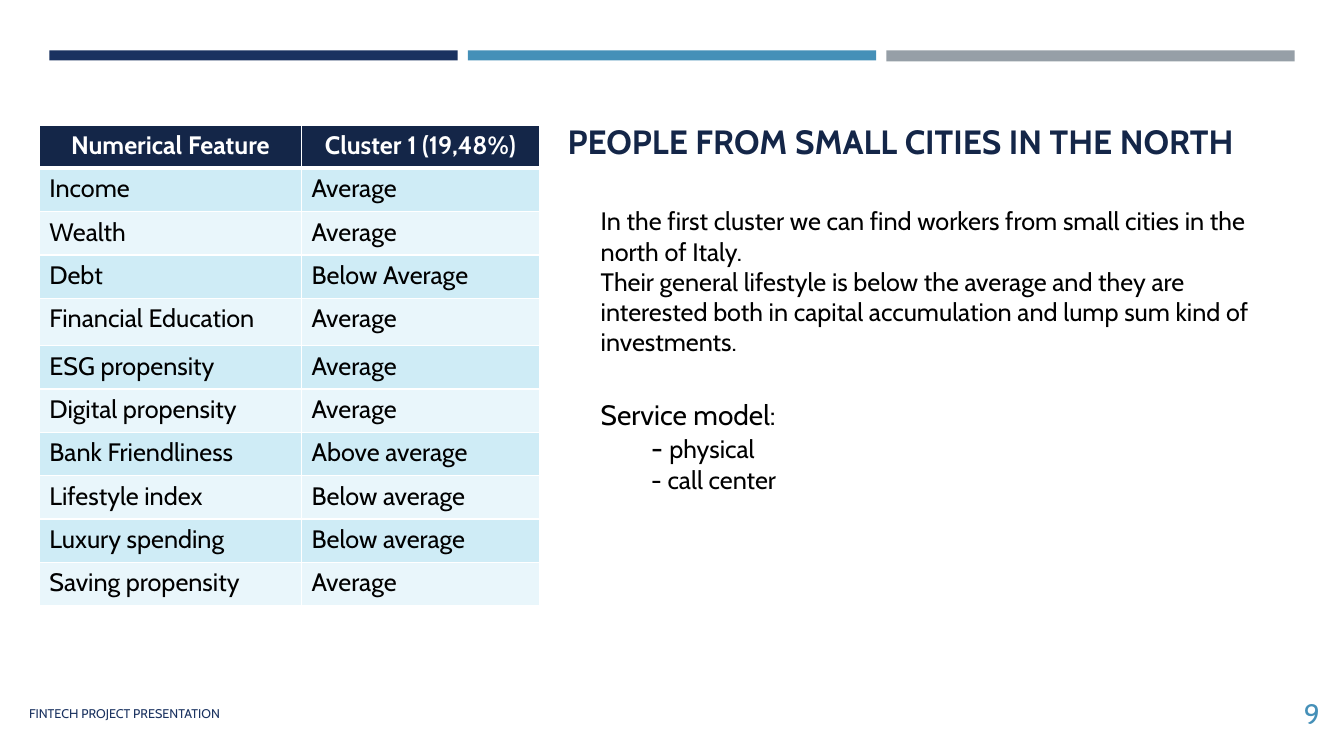
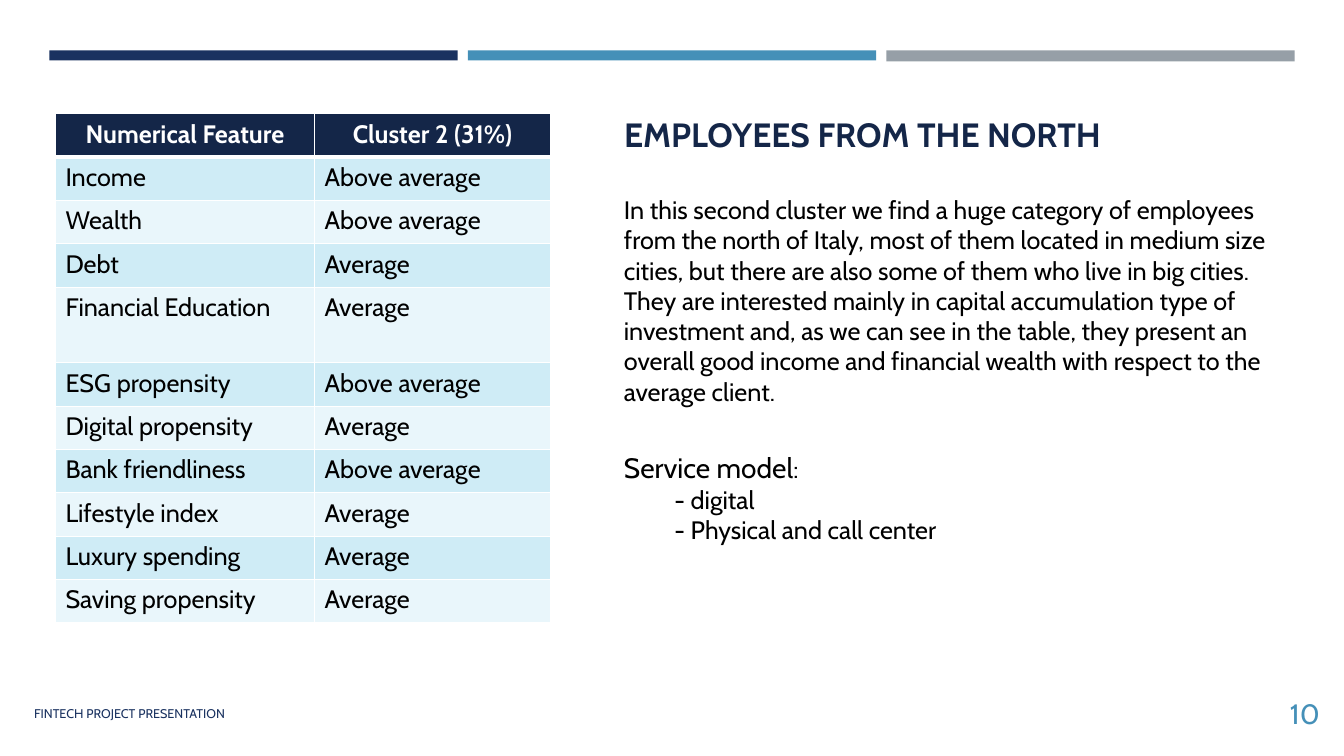
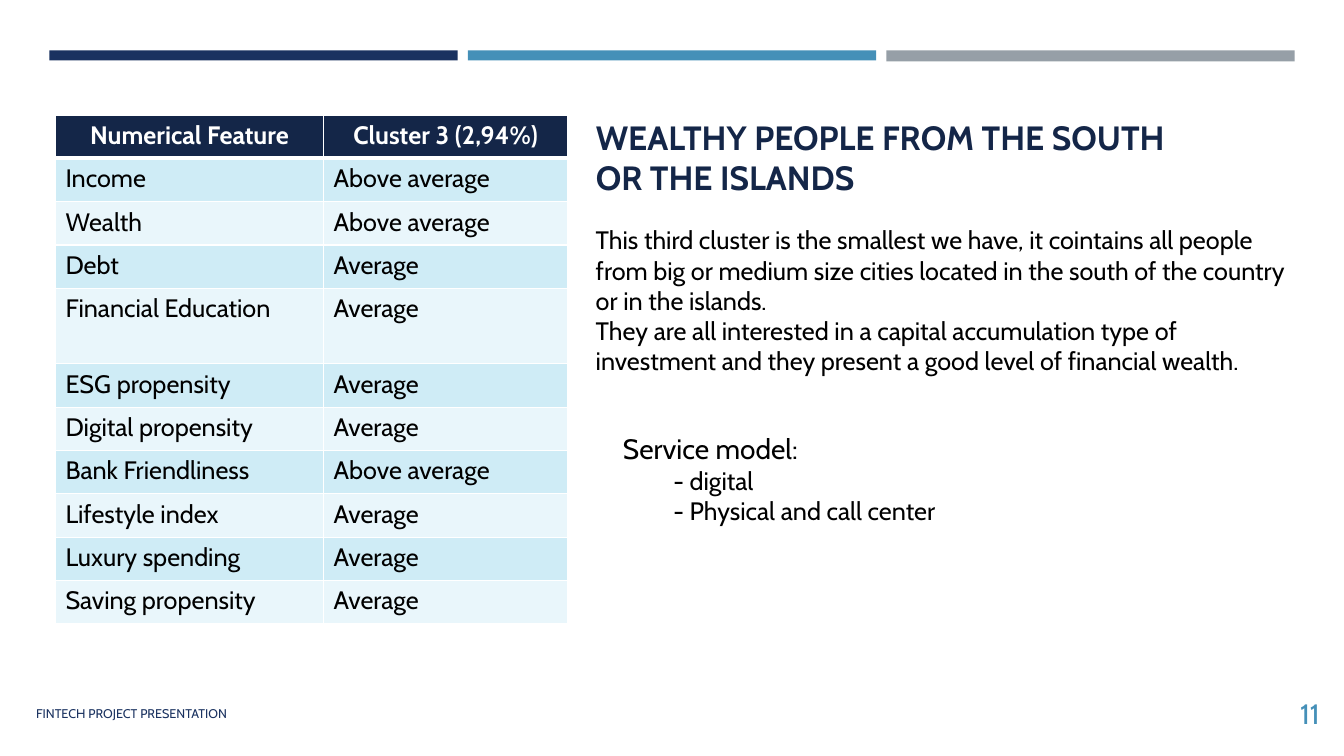
from lxml.etree import SubElement
from pptx import Presentation
from pptx.dml.color import RGBColor
from pptx.enum.shapes import MSO_SHAPE as Shape
from pptx.enum.text import MSO_ANCHOR as Anchor, MSO_AUTO_SIZE as AutoSize, PP_ALIGN as Align
from pptx.oxml.ns import qn
from pptx.util import Inches, Pt

FONT = "Cabin"
COLORS = {
    "title": "142648", "navy": "1A3260", "blue": "4590B8", "grey": "969FA7",
    "odd_row": "CFECF6", "even_row": "E9F6FB", "white": "FFFFFF", "black": "000000",
}
WIDTH, HEIGHT = 13.33, 7.5
BAND_LEFT, BAND_TOP, BAND_WIDTH, BAND_GAP = 0.49, 0.5, 4.05, 0.1
BANDS = [("navy", 0.1), ("blue", 0.1), ("grey", 0.11)]
ROW_HEIGHT, TALL_ROW = 0.43, 4
FOOTER = "FINTECH PROJECT PRESENTATION"
FEATURES = [
    "Income", "Wealth", "Debt", "Financial Education", "ESG propensity",
    "Digital propensity", "Bank Friendliness", "Lifestyle index",
    "Luxury spending", "Saving propensity",
]
AVG, ABOVE, BELOW = "Average", "Above average", "Below average"

# A paragraph is a string, or a list of (text, size) spans.
CLUSTERS = [
    {
        "number": 9, "footer_left": 0.19,
        "title": ["PEOPLE FROM SMALL CITIES IN THE NORTH"],
        "title_at": (5.53, 1.15, 7.7, 0.5),
        "header": "Cluster 1 (19,48%)", "features": FEATURES,
        "levels": [AVG, AVG, "Below Average", AVG, AVG, AVG, ABOVE, BELOW, BELOW, AVG],
        "table_at": (0.39, 1.24), "columns": (2.6, 2.36), "tall": 0.47,
        "story": [
            "In the first cluster we can find workers from small cities in the north of Italy.",
            "Their general lifestyle is below the average and they are interested both in "
            "capital accumulation and lump sum kind of investments.",
        ],
        "story_at": (5.86, 1.99, 6.99, 1.62),
        "service": [[("Service model:", 20)], [("- ", 20), ("physical", 18)], "- call center"],
        "service_at": (5.86, 3.89, 2.25, 1.38),
    },
    {
        "number": 10, "footer_left": 0.24,
        "title": ["EMPLOYEES FROM THE NORTH"],
        "title_at": (6.09, 1.08, 6.49, 0.5),
        "header": "Cluster 2 (31%)",
        "features": [name.replace("Friend", "friend") for name in FEATURES],
        "levels": [ABOVE, ABOVE, AVG, AVG, ABOVE, AVG, ABOVE, AVG, AVG, AVG],
        "table_at": (0.55, 1.13), "columns": (2.57, 2.34), "tall": 0.75,
        "story": [
            "In this second cluster we find a huge category of employees from the north of "
            "Italy, most of them located in medium size cities, but there are also some of "
            "them who live in big cities.",
            "They are interested mainly in capital accumulation type of investment and, as we "
            "can see in the table, they present an overall good income and financial wealth "
            "with respect to the average client.",
        ],
        "story_at": (6.09, 1.88, 6.76, 2.83),
        "service": [[("Service model", 20), (":", 18)], "- digital", "- Physical and call center"],
        "service_at": (6.09, 4.42, 4.29, 1.04),
    },
    {
        "number": 11, "footer_left": 0.26,
        "title": ["WEALTHY PEOPLE FROM THE SOUTH", "OR THE ISLANDS"],
        "title_at": (5.81, 1.11, 7.4, 0.91),
        "header": "Cluster 3 (2,94%)", "features": FEATURES,
        "levels": [ABOVE, ABOVE, AVG, AVG, AVG, AVG, ABOVE, AVG, AVG, AVG],
        "table_at": (0.55, 1.14), "columns": (2.66, 2.42), "tall": 0.75,
        "story": [
            "This third cluster is the smallest we have, it cointains all people from big or "
            "medium size cities located in the south of the country or in the islands.",
            "They are all interested in a capital accumulation type of investment and they "
            "present a good level of financial wealth.",
        ],
        "story_at": (5.81, 2.18, 7.15, 1.62),
        "service": [[("Service model:", 20)], "- digital", "- Physical and call center"],
        "service_at": (6.08, 4.23, 4.76, 1.04),
    },
]


def rgb(name):
    return RGBColor.from_string(COLORS[name])


def write(frame, paragraphs, size=18, color="black", bold=False, align=Align.LEFT,
          anchor=None, indent=0):
    """Fill a text frame; indent (inches) applies to every paragraph after the first."""
    frame.word_wrap = True
    if anchor is not None:
        frame.auto_size = AutoSize.NONE
        frame.vertical_anchor = anchor
    for index, spans in enumerate(paragraphs):
        para = frame.add_paragraph() if index else frame.paragraphs[0]
        para.alignment = align
        if index and indent:
            para.level = 1
            properties = para._p.get_or_add_pPr()
            properties.set("marL", str(Inches(indent)))
            properties.set("indent", "0")
        for text, points in [(spans, size)] if isinstance(spans, str) else spans:
            span = para.add_run()
            span.text = text
            span.font.name, span.font.size, span.font.bold = FONT, Pt(points), bold
            span.font.color.rgb = rgb(color)


def add_text(slide, at, paragraphs, **style):
    box = slide.shapes.add_textbox(*map(Inches, at))
    write(box.text_frame, paragraphs, **{"anchor": Anchor.TOP, **style})


def add_bands(slide, layout):
    """Draw the bands with the slide's shape tools, then move them to the layout."""
    for index, (color, height) in enumerate(BANDS):
        left = BAND_LEFT + index * (BAND_WIDTH + BAND_GAP)
        band = slide.shapes.add_shape(
            Shape.RECTANGLE, *map(Inches, (left, BAND_TOP, BAND_WIDTH, height)))
        band.shadow.inherit = False
        band.fill.solid()
        band.fill.fore_color.rgb = rgb(color)
        band.line.fill.background()
        band.element.nvSpPr.cNvPr.set("id", str(100 + index))
        layout.shapes.element.append(band.element)


def set_borders(cell, bottom):
    properties = cell._tc.get_or_add_tcPr()
    for side, points in (("L", 1), ("R", 1), ("T", 1), ("B", bottom)):
        line = SubElement(properties, qn(f"a:ln{side}"), w=str(Pt(points)))
        fill = SubElement(line, qn("a:solidFill"))
        SubElement(fill, qn("a:srgbClr"), val=COLORS["white"])


def add_feature_table(slide, cluster):
    rows = [("Numerical Feature", cluster["header"]),
            *zip(cluster["features"], cluster["levels"])]
    heights = [cluster["tall"] if index == TALL_ROW else ROW_HEIGHT
               for index in range(len(rows))]
    size = sum(cluster["columns"]), sum(heights)
    table = slide.shapes.add_table(
        len(rows), 2, *map(Inches, (*cluster["table_at"], *size))).table
    for column, width in zip(table.columns, cluster["columns"]):
        column.width = Inches(width)
    for index, (texts, height) in enumerate(zip(rows, heights)):
        table.rows[index].height = Inches(height)
        header = index == 0
        fill = "title" if header else "odd_row" if index % 2 else "even_row"
        for cell, text in zip(table.rows[index].cells, texts):
            set_borders(cell, bottom=3 if header else 1)
            cell.fill.solid()
            cell.fill.fore_color.rgb = rgb(fill)
            write(cell.text_frame, [text], bold=header,
                  color="white" if header else "black",
                  align=Align.CENTER if header else Align.LEFT)


def set_title(slide, at, lines):
    title = slide.shapes.title
    title.left, title.top, title.width, title.height = map(Inches, at)
    write(title.text_frame, lines, size=24, color="title", bold=True, anchor=Anchor.TOP)


def main():
    deck = Presentation()
    deck.slide_width, deck.slide_height = Inches(WIDTH), Inches(HEIGHT)
    layout = deck.slide_layouts.get_by_name("Title Only")
    for placeholder in list(layout.placeholders)[1:]:
        layout.shapes.element.remove(placeholder.element)
    for index, cluster in enumerate(CLUSTERS):
        slide = deck.slides.add_slide(layout)
        if index == 0:
            add_bands(slide, layout)
        set_title(slide, cluster["title_at"], cluster["title"])
        add_feature_table(slide, cluster)
        add_text(slide, cluster["story_at"], cluster["story"])
        add_text(slide, cluster["service_at"], cluster["service"], indent=0.5)
        add_text(slide, (cluster["footer_left"], 6.91, 5.67, 0.33), [FOOTER],
                 size=9, color="navy", anchor=Anchor.MIDDLE)
        add_text(slide, (11.82, 6.76, 1.37, 0.63), [str(cluster["number"])],
                 size=20, color="blue", align=Align.RIGHT, anchor=Anchor.MIDDLE)
    deck.save("out.pptx")


if __name__ == "__main__":
    main()
